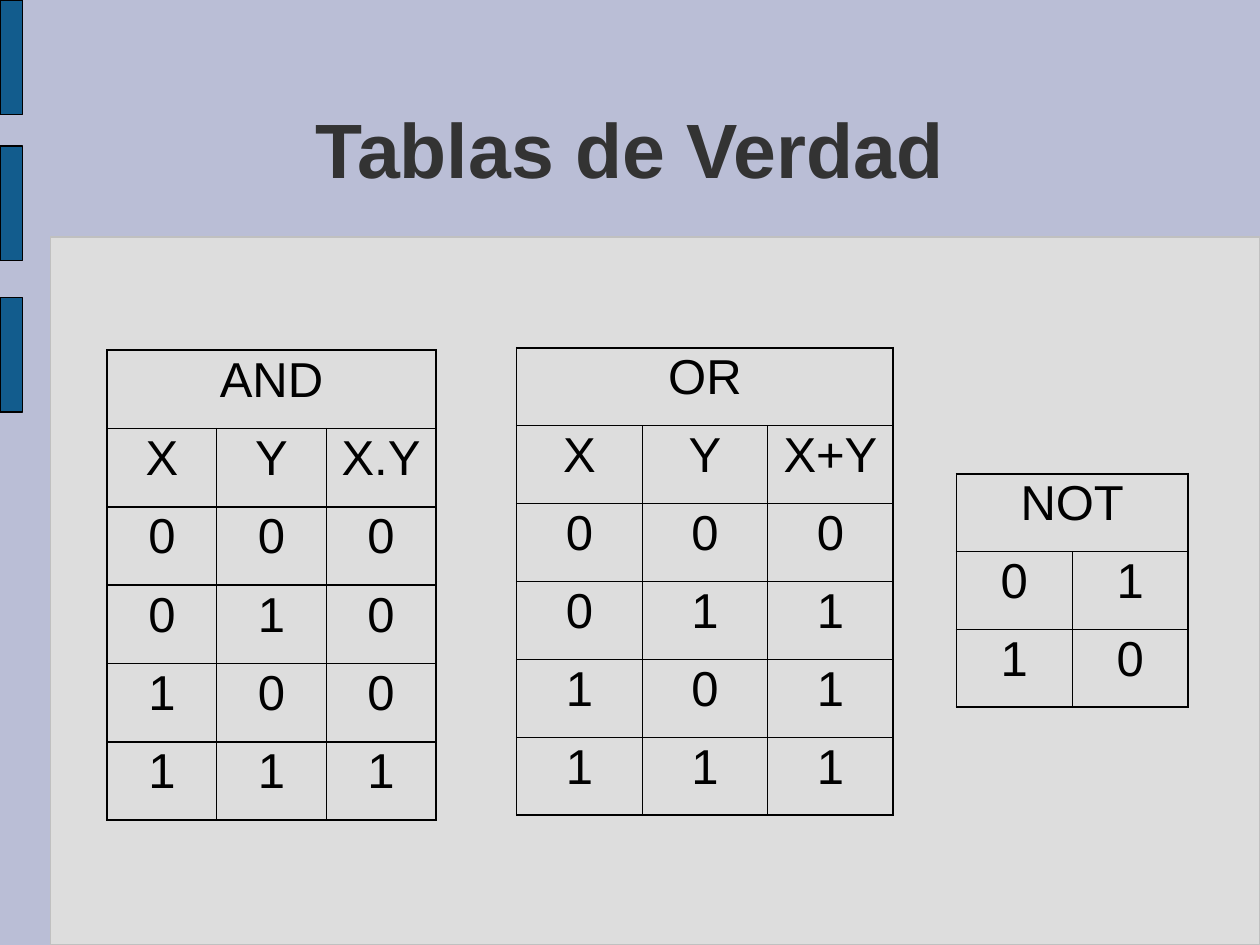
"""Build a slide with the truth tables of the AND, OR and NOT operators."""
from dataclasses import dataclass

from lxml.etree import SubElement
from pptx import Presentation
from pptx.dml.color import RGBColor
from pptx.enum.shapes import MSO_SHAPE as Shape
from pptx.enum.text import MSO_ANCHOR as Anchor, PP_ALIGN as Align
from pptx.oxml.ns import qn
from pptx.util import Inches, Pt

BACKGROUND = RGBColor(0xBA, 0xBE, 0xD6)
PANEL = RGBColor(0xDD, 0xDD, 0xDD)
PANEL_EDGE = RGBColor(0xC0, 0xC0, 0xC0)
BAR = RGBColor(0x12, 0x5C, 0x8D)
TITLE = RGBColor(0x33, 0x33, 0x33)
BLACK = RGBColor(0, 0, 0)

FONT = "Arial"
WIDTH, HEIGHT = Inches(10), Inches(7.5)
COLUMNS, ROWS = 40, 30
THIN, THICK = 0.45, 1.08


@dataclass(frozen=True)
class Box:
    left: float
    top: float
    width: float
    height: float

    def place(self) -> tuple[int, int, int, int]:
        column, row = WIDTH / COLUMNS, HEIGHT / ROWS
        return (round(self.left * column), round(self.top * row),
                round(self.width * column), round(self.height * row))


@dataclass(frozen=True)
class TruthTable:
    operator: str
    box: Box
    rows: tuple[str, ...]
    row_line: float = THIN


BAR_TOPS = (0, 9.44, 4.64)
TABLES = (
    TruthTable("AND", Box(3.4, 11.12, 10.44, 14.92),
               ("X Y X.Y", "0 0 0", "0 1 0", "1 0 0", "1 1 1"), THICK),
    TruthTable("OR", Box(16.4, 11.04, 11.96, 14.84),
               ("X Y X+Y", "0 0 0", "0 1 1", "1 0 1", "1 1 1")),
    TruthTable("NOT", Box(30.36, 15.04, 7.36, 7.4), ("0 1", "1 0")),
)


def write(frame, text: str, *, size: float, color: RGBColor = BLACK,
          bold: bool = False, spacing: float = 1, before: float = 0) -> None:
    para = frame.paragraphs[0]
    para.alignment = Align.CENTER
    para.line_spacing = spacing
    para.space_before = Pt(before)
    span = para.add_run()
    span.text = text
    span.font.name = FONT
    span.font.size = Pt(size)
    span.font.bold = bold
    span.font.color.rgb = color


def draw_block(page, box: Box, fill: RGBColor, edge: RGBColor) -> None:
    block = page.shapes.add_shape(Shape.RECTANGLE, *box.place())
    block.shadow.inherit = False
    block.fill.solid()
    block.fill.fore_color.rgb = fill
    block.line.color.rgb = edge
    block.line.width = Pt(0.75)


def draw_title(page, text: str, box: Box) -> None:
    frame = page.shapes.add_textbox(*box.place()).text_frame
    frame.word_wrap = True
    frame.vertical_anchor = Anchor.MIDDLE
    write(frame, text, size=44, color=TITLE, bold=True)


def set_borders(cell, **widths: float) -> None:
    properties = cell._tc.get_or_add_tcPr()
    for side in "LRTB":
        line = SubElement(properties, qn(f"a:ln{side}"), w=str(Pt(widths[side])))
        fill = SubElement(line, qn("a:solidFill"))
        SubElement(fill, qn("a:srgbClr"), val=str(BLACK))


def draw_table(page, truth: TruthTable) -> None:
    body = [row.split() for row in truth.rows]
    wide, tall = len(body[0]), len(body) + 1
    grid = [[truth.operator] + [""] * (wide - 1), *body]
    table = page.shapes.add_table(tall, wide, *truth.box.place()).table
    table.first_row = table.horz_banding = False
    table.cell(0, 0).merge(table.cell(0, wide - 1))
    for r, texts in enumerate(grid):
        for c, text in enumerate(texts):
            cell = table.cell(r, c)
            set_borders(
                cell,
                L=THICK if c == 0 else THIN,
                R=THICK if r == 0 or c == wide - 1 else THIN,
                T=THICK if r == 0 else truth.row_line,
                B=THICK if r == tall - 1 else truth.row_line,
            )
            cell.fill.background()
            if text:
                write(cell.text_frame, text, size=28, spacing=0.93, before=7)


def main() -> None:
    deck = Presentation()
    deck.slide_width, deck.slide_height = WIDTH, HEIGHT
    page = deck.slides.add_slide(deck.slide_layouts[6])
    page.background.fill.solid()
    page.background.fill.fore_color.rgb = BACKGROUND
    draw_block(page, Box(1.6, 7.52, 38.4, 22.48), PANEL, PANEL_EDGE)
    for top in BAR_TOPS:
        draw_block(page, Box(0, top, 0.72, 3.64), BAR, BLACK)
    draw_title(page, "Tablas de Verdad", Box(2.92, 2, 34.16, 5.4))
    for truth in TABLES:
        draw_table(page, truth)
    deck.save("out.pptx")


if __name__ == "__main__":
    main()
